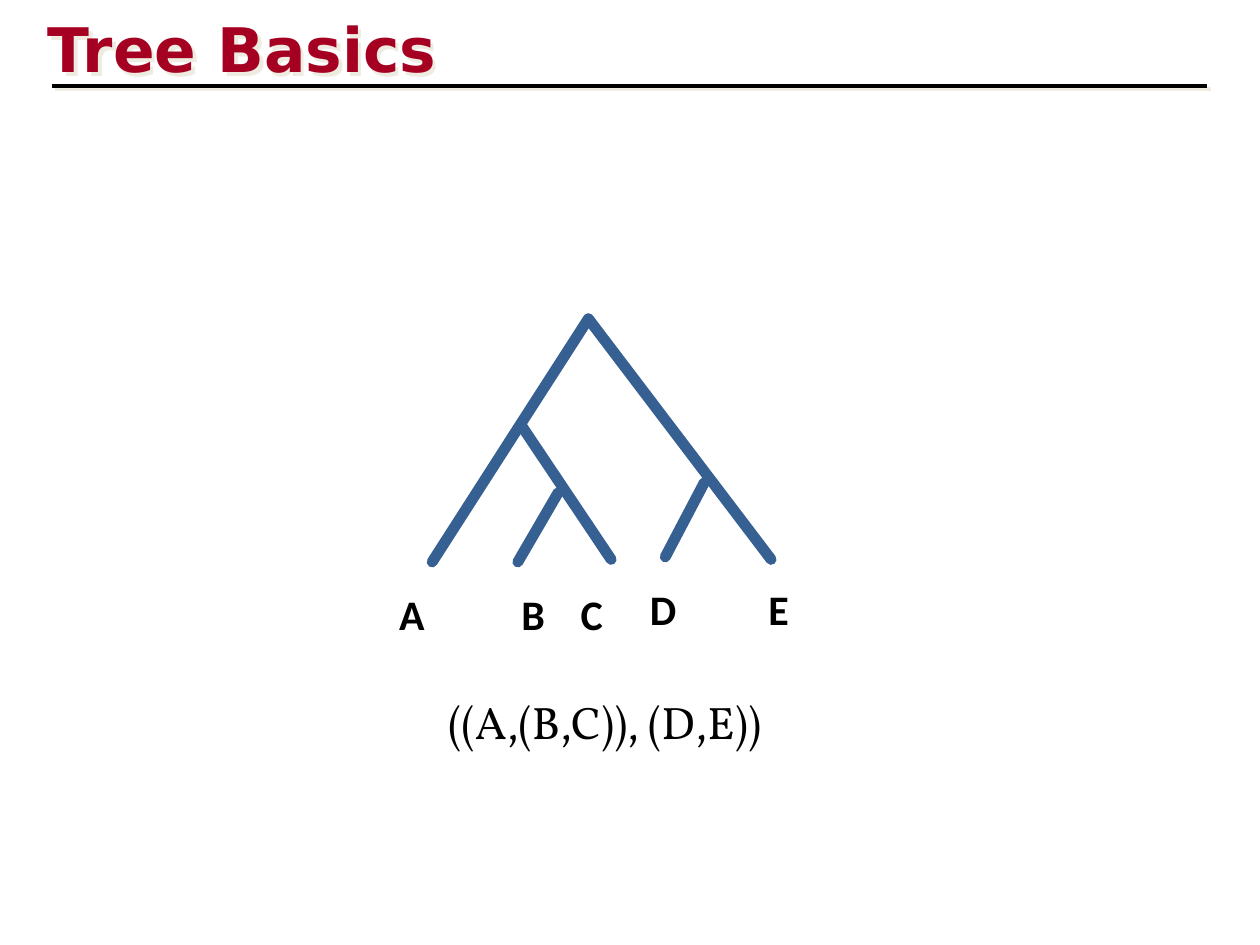
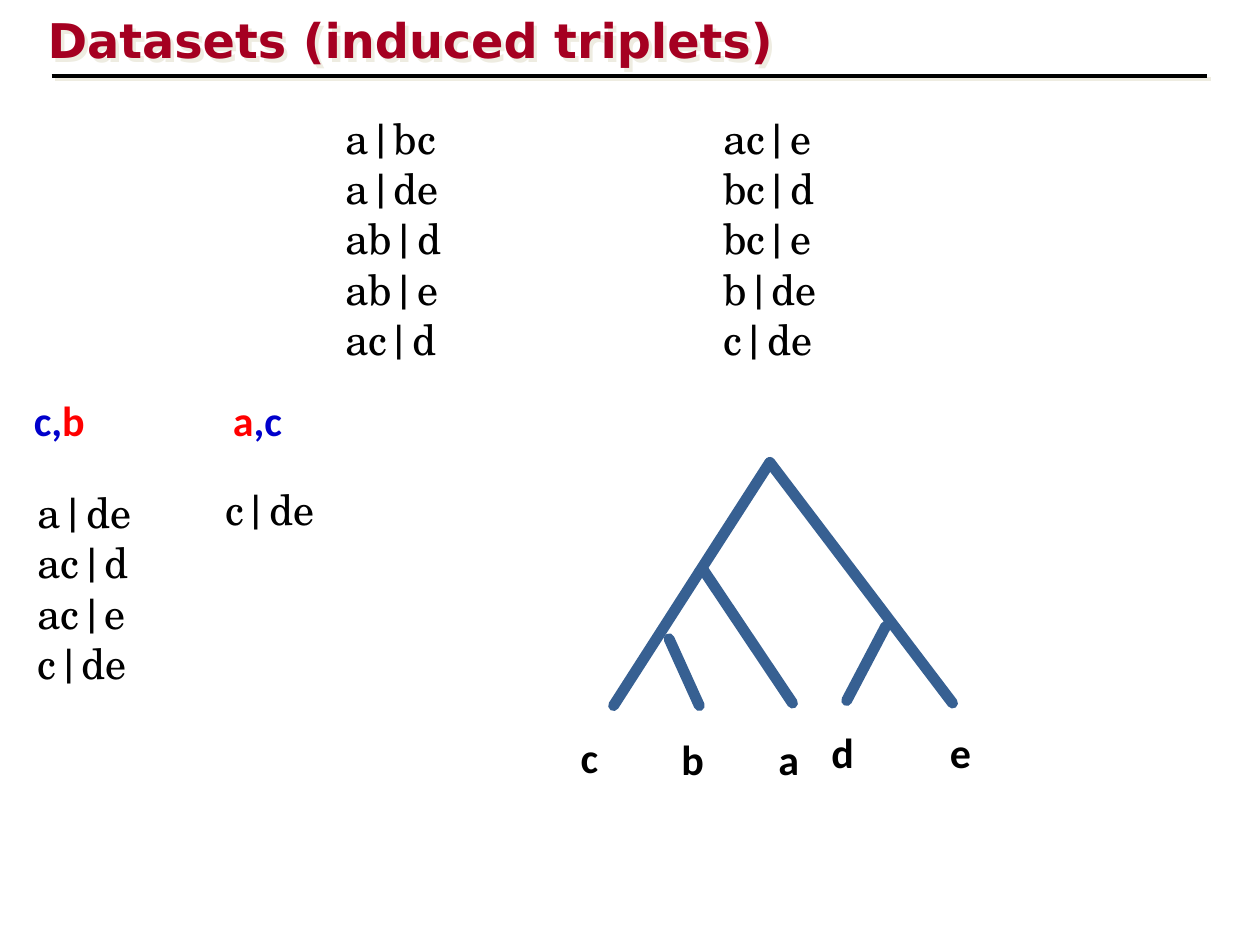
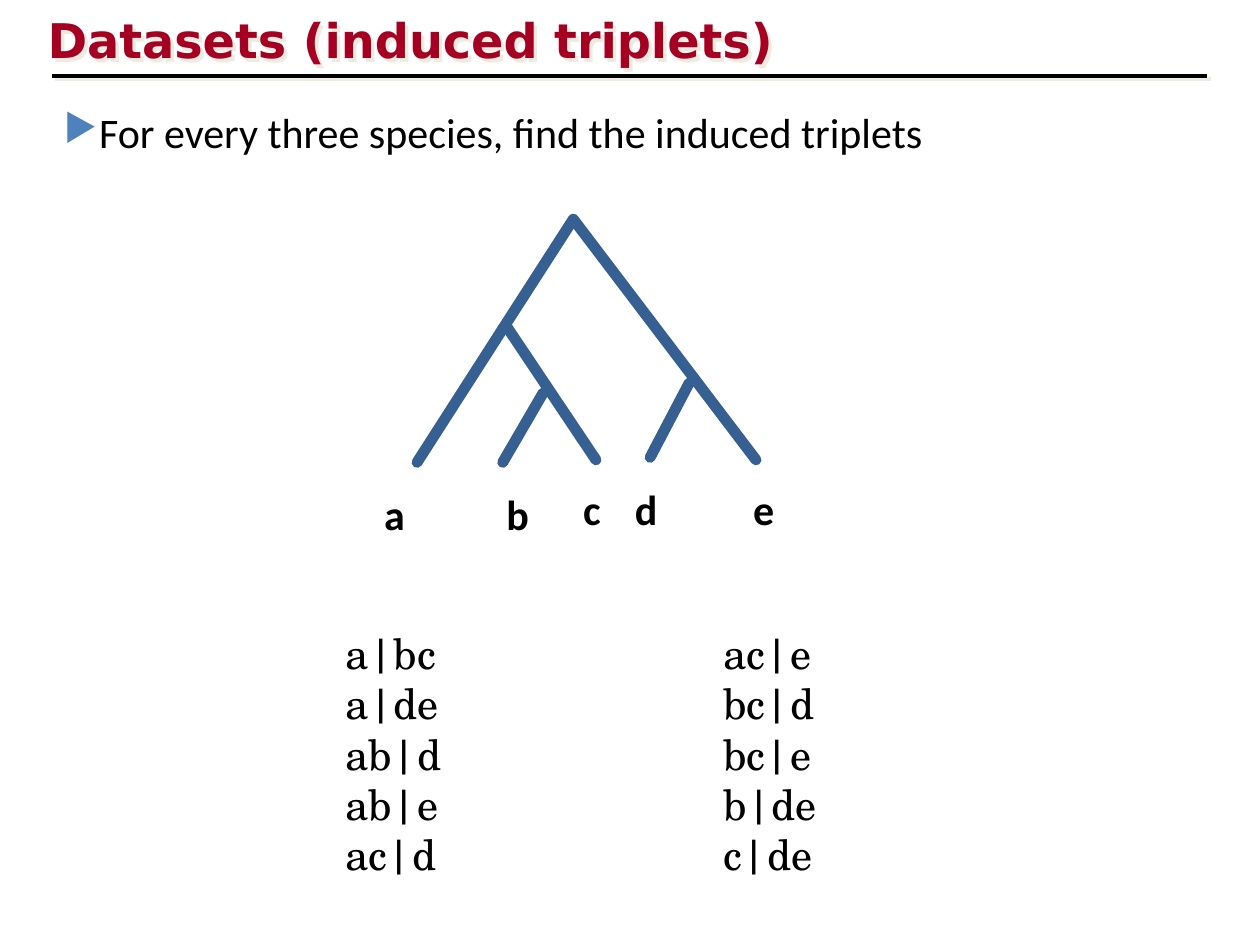
from lxml.etree import SubElement as sub
from pptx import Presentation as Deck
from pptx.dml.color import RGBColor as RGB
from pptx.enum.shapes import MSO_CONNECTOR as Link
from pptx.oxml.ns import qn
from pptx.util import Inches, Pt

BLACK, RED, BLUE = "000000", "FF0000", "0000CC"
CRIMSON, STEEL, CREAM, AZURE = "A50021", "376092", "EEECE1", "4F81BD"
HEAD, BODY, SERIF, BOOK = "DejaVu Sans", "Calibri", "TeX Gyre Schola", "Vollkorn"
TRIPLES = [
    "a|bc\tac|e",
    "a|de\tbc|d",
    "ab|d\tbc|e",
    "ab|e\tb|de",
    "ac|d\tc|de",
]
NODE, JOIN = (-0.56, 0.87), (-0.53, 0.85)
BOUGHS = [
    ((-1.24, 1.93), NODE),
    ((0.18, 1.91), JOIN),
    (NODE, (0, 0)),
    ((1.45, 1.91), (0, 0)),
    ((0.92, 1.3), (0.61, 1.89)),
]
LEAVES = [(-1.6, 2.09), (-0.63, 2.09), (-0.16, 2.09), (0.39, 2.05), (1.33, 2.05)]
TWIG_TOP, TWIG_END = (-0.24, 1.38), (-0.56, 1.93)


def paint(color, code):
    color.rgb = RGB.from_string(code)


def shade(shape):
    effects = sub(shape._element.spPr, qn("a:effectLst"))
    shadow = sub(effects, qn("a:outerShdw"), dist=str(Pt(2.8)),
                 dir="2700000", algn="ctr", rotWithShape="0")
    sub(shadow, qn("a:srgbClr"), val=CREAM)


def style(run, font, size, code, bold):
    run.font.name, run.font.size, run.font.bold = font, Pt(size), bold
    paint(run.font.color, code)


def add_text(slide, spot, lines, font=BODY, size=24, code=BLACK, bold=False):
    box = slide.shapes.add_textbox(*map(Inches, spot))
    frame = box.text_frame
    frame.word_wrap = True
    frame.text = "\n".join(lines)
    for para in frame.paragraphs:
        for run in para.runs:
            style(run, font, size, code, bold)
    return box


def add_line(slide, start, end, code, width):
    ends = map(Inches, (*start, *end))
    line = slide.shapes.add_connector(Link.STRAIGHT, *ends)
    paint(line.line.color, code)
    line.line.width = Pt(width)
    return line


def add_title(slide, title, size, rule):
    shade(add_line(slide, (0.41, rule), (9.58, rule), BLACK, 2.25))
    shade(add_text(slide, (0.28, 0.04, 9.02, 0.67), [title], HEAD, size, CRIMSON, True))


def add_tree(slide, root, names, twig=TWIG_TOP, leaves=LEAVES):
    def place(point):
        return root[0] + point[0], root[1] + point[1]

    for start, end in BOUGHS + [(twig, TWIG_END)]:
        bough = add_line(slide, place(start), place(end), STEEL, 6.25)
        props = bough._element.spPr
        props.find(qn("a:ln")).set("cap", "rnd")
        sub(props, qn("a:effectLst"))
    for name, leaf in zip(names, leaves):
        add_text(slide, (*place(leaf), 0.43, 0.5), [name], bold=True)


def add_triples(slide, top):
    box = add_text(slide, (2.64, top, 5, 2.12), TRIPLES, SERIF)
    for para in box.text_frame.paragraphs:
        stops = sub(para._p.get_or_add_pPr(), qn("a:tabLst"))
        sub(stops, qn("a:tab"), pos=str(Inches(3)), algn="l")


def add_pair(slide, left, parts):
    box = add_text(slide, (left, 3.08, 0.77, 0.5), [])
    para = box.text_frame.paragraphs[0]
    for word, code in parts:
        run = para.add_run()
        run.text = word
        style(run, BODY, 24, code, True)


def add_bullet(slide, spot, line):
    para = add_text(slide, spot, [line]).text_frame.paragraphs[0]
    para.space_before = Pt(6)
    props = para._p.get_or_add_pPr()
    props.set("marL", str(Inches(0.25)))
    props.set("indent", str(-Inches(0.25)))
    sub(sub(props, qn("a:buClr")), qn("a:srgbClr"), val=AZURE)
    sub(props, qn("a:buSzPct"), val="90000")
    sub(props, qn("a:buChar"), char="▶")


def draw_basics(slide):
    add_title(slide, "Tree Basics", 35.1, 0.68)
    add_tree(slide, (4.67, 2.53), "ABCDE")
    add_text(slide, (3.46, 5.46, 5, 0.54), ["((A,(B,C)), (D,E))"], BOOK, 26)


def draw_merge(slide):
    add_title(slide, "Datasets (induced triplets)", 27.3, 0.6)
    add_triples(slide, 0.84)
    add_pair(slide, 0.17, [("c,", BLUE), ("b", RED)])
    add_text(slide, (0.2, 3.81, 1.14, 1.72), ["a|de", "ac|d", "ac|e", "c|de"], SERIF)
    add_pair(slide, 1.75, [("a", RED), (",c", BLUE)])
    add_text(slide, (1.69, 3.79, 1.14, 0.5), ["c|de"], SERIF)
    leaves = [LEAVES[0], (-0.8, 2.1), (-0.03, 2.1), *LEAVES[3:]]
    add_tree(slide, (6.11, 3.67), "cbade", (-0.8, 1.4), leaves)


def draw_induced(slide):
    add_title(slide, "Datasets (induced triplets)", 27.3, 0.6)
    add_bullet(slide, (0.41, 0.8, 8.46, 0.5),
               "For every three species, find the induced triplets")
    leaves = [*LEAVES[:2], (-0.02, 2.05), *LEAVES[3:]]
    add_tree(slide, (4.55, 1.74), "abcde", leaves=leaves)
    add_triples(slide, 4.93)


def main():
    deck = Deck()
    deck.slide_width, deck.slide_height = Inches(10), Inches(7.5)
    for draw in (draw_basics, draw_merge, draw_induced):
        draw(deck.slides.add_slide(deck.slide_layouts[6]))
    deck.save("out.pptx")


if __name__ == "__main__":
    main()
